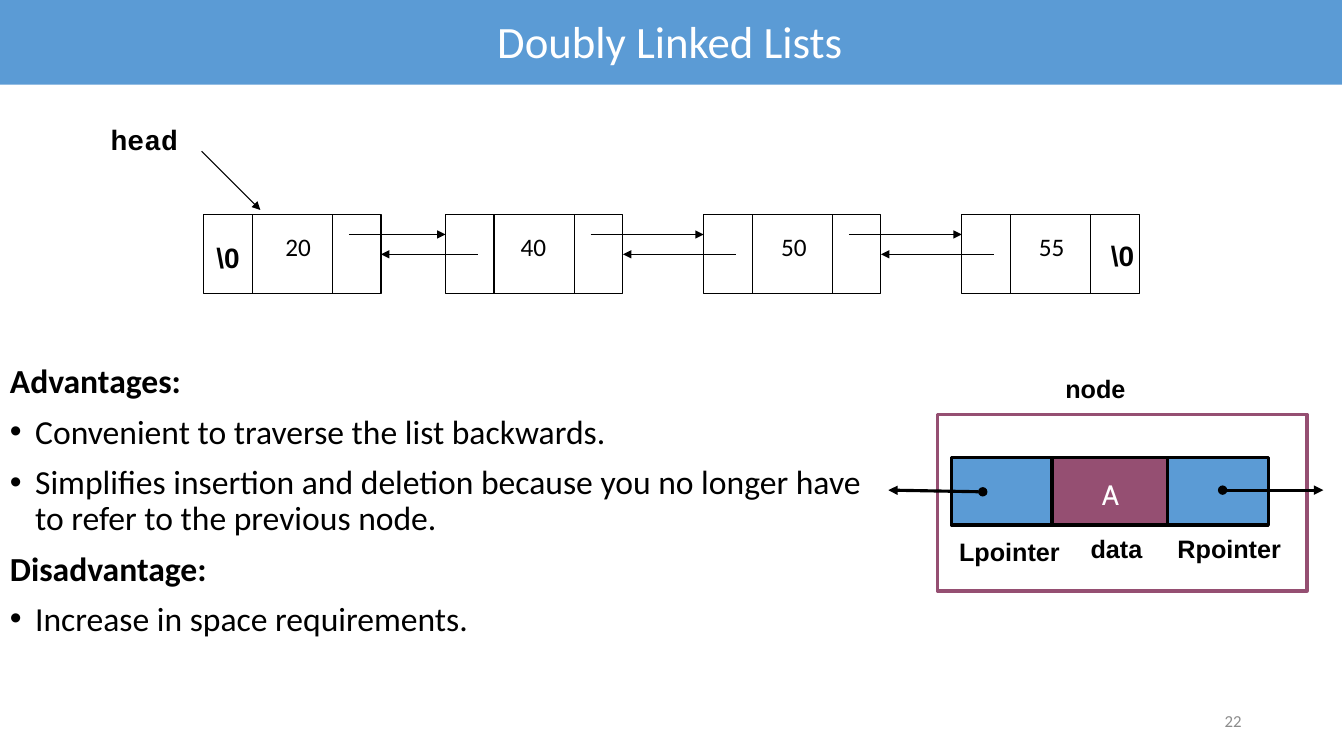
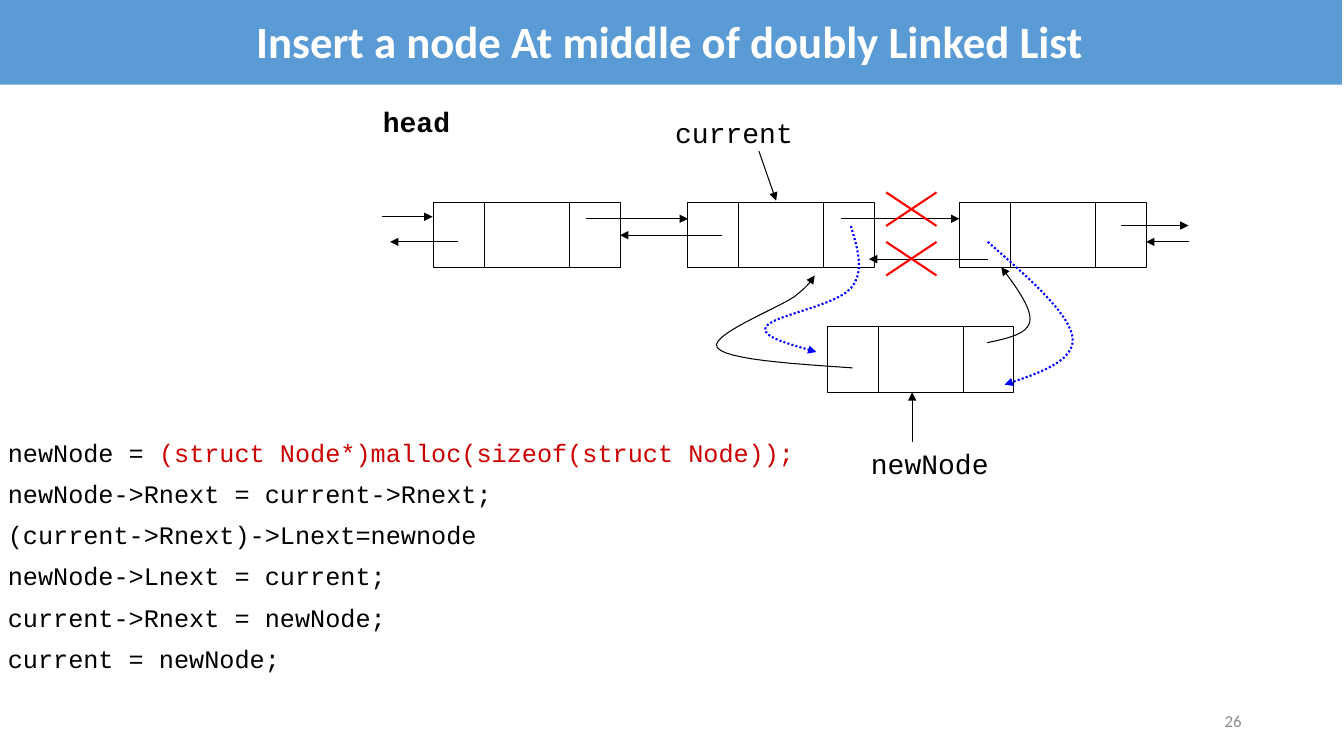
import pptx
import pptx.util
import pptx.dml.color
import pptx.enum.dml
import pptx.enum.shapes
import pptx.enum.text
import pptx.oxml
import pptx.oxml.ns
import lxml.etree

RGBColor = pptx.dml.color.RGBColor
ALIGN = pptx.enum.text.PP_ALIGN
ANCHOR = pptx.enum.text.MSO_ANCHOR

# Colours
BLACK = RGBColor(0x00, 0x00, 0x00)
WHITE = RGBColor(0xFF, 0xFF, 0xFF)
BAND = RGBColor(0x5B, 0x9B, 0xD5)
PLUM = RGBColor(0x95, 0x4F, 0x72)
GREY = RGBColor(0x8C, 0x8C, 0x8C)
RED = RGBColor(0xFF, 0x00, 0x00)
CODE_RED = RGBColor(0xCC, 0x00, 0x00)
BLUE = RGBColor(0x00, 0x00, 0xFF)

# Fonts
BODY, LABEL, CODE = "Calibri", "Arial", "Courier New"

# Slide grid: square cells
COLUMNS, ROWS = 160, 90
CELL = pptx.util.Inches(1) // 12

# A list node is 11 units wide: left pointer 3, data 5, right pointer 3
NODE_UNITS, DIVIDERS = 11, (3, 8)
NODE_STEPS = (0, 15, 31, 47)


def emu(*cells):
    return [round(cell * CELL) for cell in cells]


def bezier(start, first, second, end, steps=12):
    """Points along a cubic curve, without its start."""
    for step in range(1, steps + 1):
        t = step / steps
        weights = ((1 - t) ** 3, 3 * t * (1 - t) ** 2, 3 * t * t * (1 - t), t ** 3)
        yield tuple(sum(w * point[axis] for w, point in zip(weights, (start, first, second, end)))
                    for axis in (0, 1))


class Deck:
    """Style of the slides and drawing methods; all lengths are grid cells."""

    def __init__(self):
        self.file = pptx.Presentation()
        self.file.slide_width, self.file.slide_height = emu(COLUMNS, ROWS)
        self.page = None

    def new_page(self, title, number, bold=False):
        self.page = self.file.slides.add_slide(self.file.slide_layouts[6])
        self.text((113, 83.4, 36, 4.8), [str(number)], 12, color=GREY,
                  align=ALIGN.RIGHT, anchor=ANCHOR.MIDDLE)
        band = self.rectangle((-0.24, -0.48, COLUMNS, 10.56), BAND)
        self.fill_text(band, [title], 32, BODY, WHITE, bold, ALIGN.CENTER, ANCHOR.MIDDLE)

    # Text
    def style_span(self, span, size, font, color, bold=False):
        span.font.size = pptx.util.Pt(size)
        span.font.name = font
        span.font.color.rgb = color
        span.font.bold = bold

    def fill_text(self, shape, lines, size, font, color, bold, align, anchor):
        frame = shape.text_frame
        frame.text = "\n".join(lines)
        frame.vertical_anchor = anchor
        for para in frame.paragraphs:
            para.alignment = align
            for span in para.runs:
                self.style_span(span, size, font, color, bold)

    def text(self, spot, lines, size, font=BODY, color=BLACK, bold=False,
             align=ALIGN.LEFT, anchor=ANCHOR.TOP, wrap=True):
        box = self.page.shapes.add_textbox(*emu(*spot))
        box.text_frame.word_wrap = wrap
        self.fill_text(box, lines, size, font, color, bold, align, anchor)
        return box

    def body(self, spot, lines, size, font=BODY, headings=None):
        """Spaced, hanging paragraphs; with headings given, all others get bullets."""
        box = self.text(spot, lines, size, font)
        for para in box.text_frame.paragraphs:
            para.line_spacing = 0.9
            para.space_before = pptx.util.Pt(10)
            properties = para._p.get_or_add_pPr()
            properties.set("marL", str(3 * CELL))
            properties.set("indent", str(-3 * CELL))
            if headings is None:
                continue
            if para.text in headings:
                para.runs[0].font.bold = True
            else:
                bullet_font = lxml.etree.SubElement(properties, pptx.oxml.ns.qn("a:buFont"))
                bullet_font.set("typeface", LABEL)
                bullet = lxml.etree.SubElement(properties, pptx.oxml.ns.qn("a:buChar"))
                bullet.set("char", "•")
        return box

    # Shapes
    def rectangle(self, spot, fill=None, line=None, width=0.75):
        shape = self.page.shapes.add_shape(
            pptx.enum.shapes.MSO_SHAPE.RECTANGLE, *emu(*spot))
        shape.shadow.inherit = False
        if fill is None:
            shape.fill.background()
        else:
            shape.fill.solid()
            shape.fill.fore_color.rgb = fill
        if line is None:
            shape.line.fill.background()
        else:
            self.stroke(shape, line, width)
        return shape

    def stroke(self, shape, color, width, dotted=False, head=None, tail=None):
        shape.line.color.rgb = color
        shape.line.width = pptx.util.Pt(width)
        if dotted:
            shape.line.dash_style = pptx.enum.dml.MSO_LINE.ROUND_DOT
        outline = shape.line._get_or_add_ln()
        for tag, kind in (("a:headEnd", head), ("a:tailEnd", tail)):
            if kind:
                lxml.etree.SubElement(outline, pptx.oxml.ns.qn(tag)).set("type", kind)

    def line(self, start, end, color=BLACK, width=0.75, head=None, tail=None):
        connector = self.page.shapes.add_connector(
            pptx.enum.shapes.MSO_CONNECTOR.STRAIGHT, *emu(*start, *end))
        self.stroke(connector, color, width, head=head, tail=tail)
        lxml.etree.SubElement(connector._element.spPr, pptx.oxml.ns.qn("a:effectLst"))
        return connector

    def arrow(self, start, end, width=0.75, head=None):
        return self.line(start, end, width=width, head=head, tail="triangle")

    def curve(self, points, color=BLACK, width=0.75, dotted=False):
        """Arrow along joined cubic curves: a start, then three points for each."""
        track = [point for i in range(0, len(points) - 1, 3)
                 for point in bezier(*points[i:i + 4])]
        builder = self.page.shapes.build_freeform(*emu(*points[0]))
        builder.add_line_segments([emu(*point) for point in track], close=False)
        shape = builder.convert_to_shape()
        shape.shadow.inherit = False
        shape.fill.background()
        self.stroke(shape, color, width, dotted, tail="triangle")

    # Linked-list parts
    def node(self, left, top, unit, height):
        shape = self.rectangle((left, top, NODE_UNITS * unit, height), WHITE, BLACK)
        for divider in DIVIDERS:
            x = left + divider * unit
            self.line((x, top), (x, top + height))
        return shape

    def forward(self, left, right, top, unit, height):
        y = top + height / 4
        self.arrow((left + 9 * unit, y), (right, y))

    def back(self, node, left, right, top, unit, height):
        y = top + height / 2
        link = self.arrow((right + 2 * unit, y), (left + NODE_UNITS * unit, y))
        link.end_connect(node, 3)

    def cross(self, left, top, width=6, height=4):
        right, bottom = left + width, top + height
        self.line((right, top), (left, bottom), RED, 1.5)
        self.line((left, top), (right, bottom), RED, 1.5)


def overview(deck):
    deck.new_page("Doubly Linked Lists", 22)

    # Chain of four nodes
    size = top, unit, height = 25.55, 1.92, 9.45
    lefts = [24.25 + step * unit for step in NODE_STEPS]
    nodes = [deck.node(left, *size) for left in lefts]
    for node, left, right in zip(nodes, lefts, lefts[1:]):
        deck.forward(left, right, *size)
        deck.back(node, left, right, *size)
    for value, left in (("20", 31), ("40", 59), ("50", 90), ("55", 120.7)):
        deck.text((left, 27, 9, 4.8), [value], 18, align=ALIGN.CENTER)
    for left, y in ((24.5, 28.1), (131, 27.85)):
        deck.text((left, y, 5.3, 5.3), [r"\0"], 20, LABEL, bold=True,
                  align=ALIGN.CENTER, wrap=False)
    deck.text((12, 14, 17, 7), ["head"], 20, CODE, bold=True)
    deck.arrow((24, 18), (31, 25))

    # Pros and cons
    deck.body((0, 42.85, 104, 35), [
        "Advantages:",
        "Convenient to traverse the list backwards.",
        "Simplifies insertion and deletion because you no longer have "
        "to refer to the previous node.",
        "Disadvantage:",
        "Increase in space requirements.",
    ], 24, headings=("Advantages:", "Disadvantage:"))

    # One node enlarged
    for left, width, fill in ((139, 12, BAND), (125, 14, PLUM), (113.25, 12, BAND)):
        deck.rectangle((left, 54.5, width, 8), fill, BLACK, 2.25)
    deck.text((130, 56.25, 4.4, 5.2), ["A"], 20, "Cabin", WHITE,
              align=ALIGN.CENTER, wrap=False)
    deck.rectangle((111.6, 49.35, 44, 21), line=PLUM, width=2.5)
    for label, left, y, width in (("data", 128.65, 62.9, 9), ("Rpointer", 139, 62.9, 15.25),
                                  ("Lpointer", 113, 63.25, 15.25), ("node", 125.65, 43.8, 11)):
        deck.text((left, y, width, 4.8), [label], 18, LABEL, bold=True)
    deck.arrow((145.55, 58.35), (157.55, 58.35), 2.25, "oval")
    deck.arrow((117, 58.55), (105.75, 58.35), 2.25, "oval")


def insertion(deck):
    deck.new_page("Insert a node At middle of doubly Linked List", 26, bold=True)

    # Chain of three nodes and the new one
    size = top, unit, height = 24.1, 2.02, 7.8
    lefts = [51.6 + step * unit for step in NODE_STEPS[:3]]
    nodes = [deck.node(left, *size) for left in lefts]
    deck.node(98.5, 38.9, unit, height)
    for left, right in zip(lefts, lefts[1:]):
        deck.forward(left, right, *size)
    deck.back(nodes[0], *lefts[:2], *size)
    for start, end in (
            ((117.6, 30.85), (103.45, 30.85)),   # broken back link
            ((90.35, 18), (92.4, 23.9)),         # current
            ((108.6, 52.6), (108.6, 46.7)),      # newNode
            ((133.45, 26.85), (141.5, 26.85)),   # outer links
            ((45.5, 25.8), (51.5, 25.8)),
            ((141.5, 28.8), (136.45, 28.8)),
            ((54.5, 28.8), (46.45, 28.8))):
        deck.arrow(start, end)
    for y in (28.8, 22.9):
        deck.cross(105.5, y)

    # New links
    deck.curve([(101.3, 26.9), (102.1, 29.6), (103, 32.4), (101.3, 34.3),
                (99.6, 36.4), (91.8, 37.6), (91.2, 38.9),
                (90.5, 40.1), (93.8, 40.9), (97.2, 41.9)], BLUE, 1.5, True)
    deck.curve([(101.5, 43.8), (94.1, 43.3), (86.5, 42.8), (85.4, 41.4),
                (84.2, 40), (92.6, 36.7), (94.6, 35.3),
                (96.5, 33.8), (96.7, 33.2), (97, 32.8)])
    deck.curve([(117.5, 40.8), (119.9, 40.3), (122.3, 39.8), (122.6, 38.3),
                (122.9, 36.8), (121.1, 34.3), (119.2, 31.8)])
    deck.curve([(117.6, 28.8), (122.5, 33.1), (127.3, 37.3), (127.7, 40.2),
                (128, 43), (123.8, 44.4), (119.6, 45.8)], BLUE, 1.5, True)

    # Names
    for name, left, y, width in (("head", 44.4, 11.9, 14), ("current", 79.2, 13.2, 24),
                                 ("newNode", 102.5, 52.6, 30)):
        deck.text((left, y, width, 5.5), [name], 20, CODE, bold=name == "head")

    # Code
    box = deck.body((-0.25, 51.85, 102, 37), [
        "newNode = ",
        "newNode->Rnext = current->Rnext;",
        "(current->Rnext)->Lnext=newnode",
        "newNode->Lnext = current;",
        "current->Rnext = newNode;",
        "current = newNode;",
    ], 18, CODE)
    span = box.text_frame.paragraphs[0].add_run()
    span.text = "(struct Node*)malloc(sizeof(struct Node));"
    deck.style_span(span, 18, CODE, CODE_RED)


def main():
    deck = Deck()
    overview(deck)
    insertion(deck)
    deck.file.save("out.pptx")


if __name__ == "__main__":
    main()
